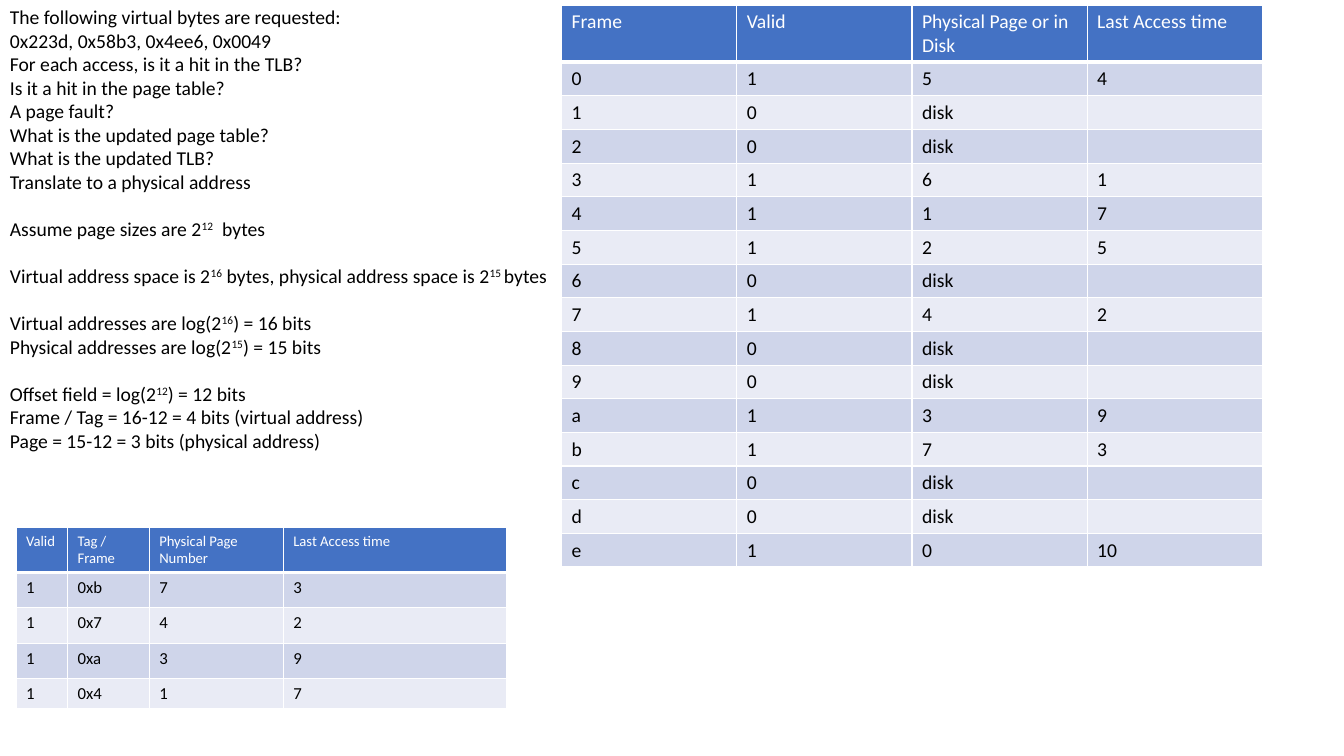
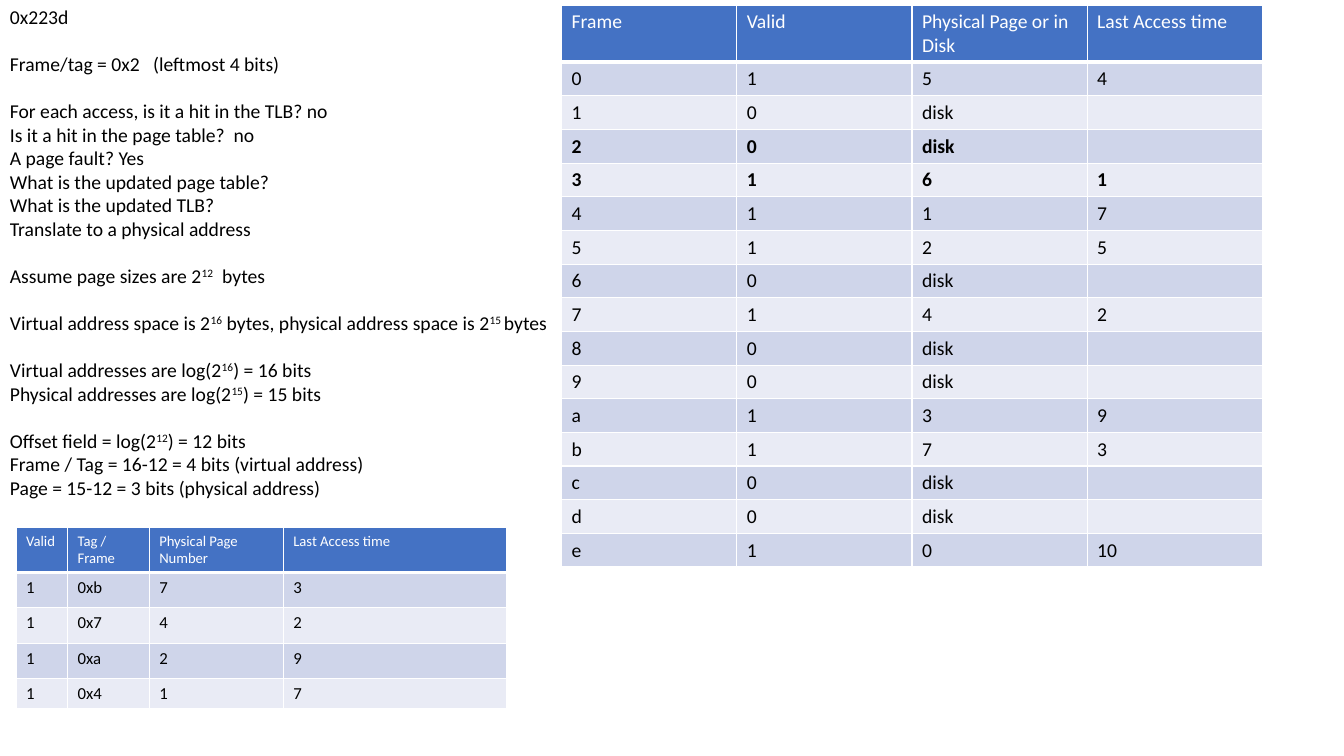
from lxml import etree
from pptx import Presentation
from pptx.dml.color import RGBColor
from pptx.enum.text import MSO_AUTO_SIZE
from pptx.oxml.ns import qn
from pptx.util import Inches, Pt

GROW = MSO_AUTO_SIZE.SHAPE_TO_FIT_TEXT
FONT = "Calibri"
SIZE = 14
GAP = 16.8
COLORS = {"head": "4472C4", "odd": "CFD5EA", "even": "E9EBF5",
          "white": "FFFFFF", "black": "000000"}

TASKS = ["What is the updated page table?", "What is the updated TLB?",
         "Translate to a physical address"]
# Text between carets is raised.
FACTS = [
    ["Assume page sizes are 2^12^  bytes"],
    ["Virtual address space is 2^16^ bytes, physical address space is 2^15 ^bytes"],
    ["Virtual addresses are log(2^16^) = 16 bits",
     "Physical addresses are log(2^15^) = 15 bits"],
    ["Offset field = log(2^12^) = 12 bits",
     "Frame / Tag = 16-12 = 4 bits (virtual address)",
     "Page = 15-12 = 3 bits (physical address)"],
]
ASK = [["The following virtual bytes are requested:",
        "0x223d, 0x58b3, 0x4ee6, 0x0049",
        "For each access, is it a hit in the TLB?",
        "Is it a hit in the page table?", "A page fault?"] + TASKS]
SOLVE = [["0x223d"], ["Frame/tag = 0x2   (leftmost 4 bits)"],
         ["For each access, is it a hit in the TLB? no",
          "Is it a hit in the page table?  no", "A page fault? Yes"] + TASKS]

TLB_HEAD = ["Valid", "Tag / Frame", "Physical Page Number ", "Last Access time"]
PAGE_HEAD = ["Frame", "Valid", "Physical Page or in Disk", "Last Access time"]
# Frame: (physical page, last access time); all other frames are on disk.
LOADED = {"0": ("5", "4"), "3": ("6", "1"), "4": ("1", "7"), "5": ("2", "5"),
          "7": ("4", "2"), "a": ("3", "9"), "b": ("7", "3"), "e": ("0", "10")}


def write(par, text, size=SIZE, color="black", bold=False):
    """Write formatted text in a paragraph, raising parts between carets."""
    for i, part in enumerate(text.split("^")):
        if not part:
            continue
        run = par.add_run()
        run.text = part
        font = run.font
        font.name, font.size, font.bold = FONT, Pt(size), bold
        font.color.rgb = RGBColor.from_string(COLORS[color])
        if i % 2:
            font._element.set("baseline", "30000")
    if not text:
        etree.SubElement(par._p, qn("a:endParaRPr"), sz=str(int(size * 100)))


def add_notes(slide, blocks, height):
    """Add the left text, with a gap before each block after the first."""
    box = slide.shapes.add_textbox(0, 0, Inches(5.57), Inches(height))
    frame = box.text_frame
    frame.word_wrap = True
    frame.auto_size = GROW
    par = frame.paragraphs[0]
    for b, block in enumerate(blocks):
        for i, line in enumerate(block):
            if b or i:
                par = frame.add_paragraph()
            if b and not i:
                par.space_before = Pt(GAP)
            write(par, line)


def edge(cell, base):
    """Draw white cell borders with the given bottom width."""
    props = cell._tc.get_or_add_tcPr()
    for tag, width in (("lnL", 1), ("lnR", 1), ("lnT", 1), ("lnB", base)):
        line = etree.SubElement(props, qn("a:" + tag), w=str(Pt(width)))
        fill = etree.SubElement(line, qn("a:solidFill"))
        etree.SubElement(fill, qn("a:srgbClr"), val=COLORS["white"])


def add_grid(slide, left, top, cols, highs, rows, head=SIZE, body=SIZE, bold=()):
    """Add a banded table whose first row is the header."""
    grid = slide.shapes.add_table(
        len(rows), len(cols), Inches(left), Inches(top),
        Inches(sum(cols)), Inches(sum(highs))).table
    for col, width in zip(grid.columns, cols):
        col.width = Inches(width)
    for r, (row, high) in enumerate(zip(rows, highs)):
        grid.rows[r].height = Inches(high)
        band = "odd" if r % 2 else "even"
        for c, text in enumerate(row):
            cell = grid.cell(r, c)
            edge(cell, 1 if r else 3)
            cell.fill.solid()
            cell.fill.fore_color.rgb = RGBColor.from_string(
                COLORS[band if r else "head"])
            write(cell.text_frame.paragraphs[0], text,
                  size=body if r else head,
                  color="black" if r else "white", bold=r > 0 and row[0] in bold)


def add_tlb(slide, page):
    """Add the TLB table, given the physical page of tag 0xa."""
    rows = [TLB_HEAD, ["1", "0xb", "7", "3"], ["1", "0x7", "4", "2"],
            ["1", "0xa", page, "9"], ["1", "0x4", "1", "7"]]
    add_grid(slide, 0.16, 5.23, [0.51, 0.81, 1.33, 2.22],
             [0.45] + [0.35] * 3 + [0.3], rows, head=10.5, body=12)


def add_pages(slide, bold):
    """Add the page table, with the given frames in bold."""
    rows = [PAGE_HEAD]
    for key in "0123456789abcde":
        page, time = LOADED.get(key, ("disk", ""))
        rows.append([key, "1" if key in LOADED else "0", page, time])
    add_grid(slide, 5.57, 0.05, [6.95 / 4] * 4, [0.56] + [5.01 / 15] * 15,
             rows, bold=bold)


def main():
    """Build both slides and save them."""
    deck = Presentation()
    deck.slide_width, deck.slide_height = Inches(13.33), Inches(7.5)
    for lead, height, page, bold in ((ASK, 4.81, "3", ""),
                                     (SOLVE, 5.28, "2", "23")):
        slide = deck.slides.add_slide(deck.slide_layouts[6])
        add_notes(slide, lead + FACTS, height)
        add_tlb(slide, page)
        add_pages(slide, bold)
    deck.save("out.pptx")


main()
